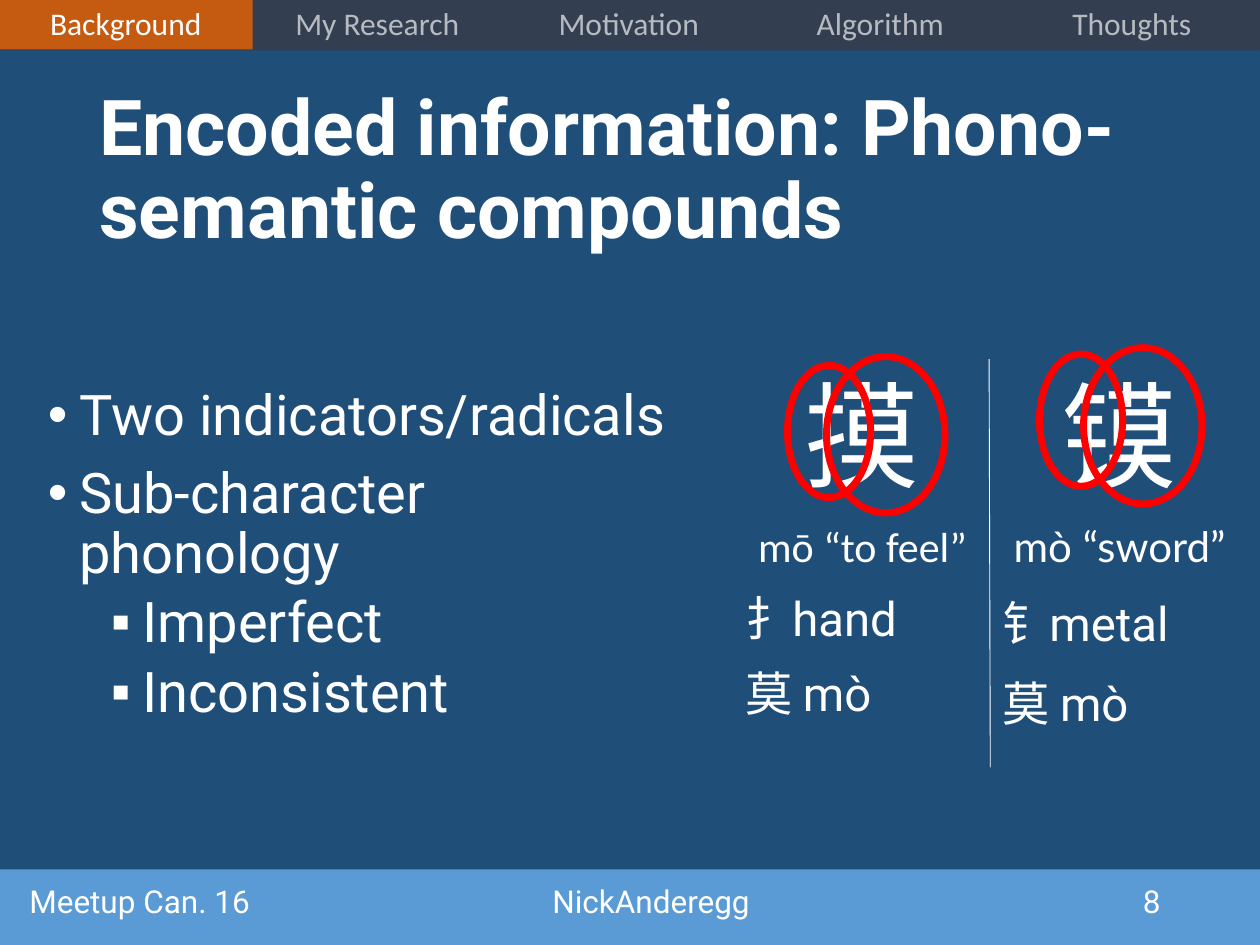
"""Build the slide on phono-semantic compounds."""
from lxml.etree import SubElement
from pptx import Presentation
from pptx.dml.color import RGBColor
from pptx.enum.shapes import MSO_CONNECTOR, MSO_SHAPE
from pptx.enum.text import MSO_ANCHOR, PP_ALIGN
from pptx.oxml.ns import qn
from pptx.util import Pt

WHITE, RED, NAVY, SLATE = "FFFFFF", "FF0000", "1F4E79", "333F50"
ORANGE, BLUE = "C55A11", "5B9BD5"
LATIN, HAN = "Roboto", "Noto Sans CJK SC"
NO_GRID = "{2D5ABB26-0587-4C30-8999-92F81FD0307C}"
LEFT, CENTER, RIGHT = PP_ALIGN.LEFT, PP_ALIGN.CENTER, PP_ALIGN.RIGHT

TITLE = "Encoded information: Phono-semantic compounds"
POINTS = [
    (0, "Two indicators/radicals"),
    (0, "Sub-character phonology"),
    (1, "Imperfect"),
    (1, "Inconsistent"),
]
BULLETS = [("•", 18, 10), ("▪", 54, 5)]
COMPOUNDS = [
    dict(character="摸", meaning="mō “to feel”", face="Calibri", left=413.3,
         parts=["扌hand", "莫 mò"], parts_at=(420.8, 334.1), spacing=None,
         rings=[(450, 208.8), (472.3, 203.8)]),
    dict(character="镆", meaning="mò “sword”", face="Lato", left=560.2,
         parts=["钅metal", "莫 mò"], parts_at=(567.7, 333.4), spacing=1.1,
         rings=[(594, 202.3), (619.2, 198.7)]),
]
RING_SIZES = [(47.5, 75.6), (67.7, 89.3)]
SECTIONS = ["Background", "My Research", "Motivation", "Algorithm", "Thoughts"]
FOOTERS = [
    ("8", 481.7, 188.6, RIGHT),
    ("NickAnderegg", 284.4, 151.2, RIGHT),
    ("Meetup Can. 16", 9.7, 229, LEFT),
]


def color(value):
    return RGBColor.from_string(value)


def add_text(paragraph, text, size, face=LATIN, bold=False):
    run = paragraph.add_run()
    run.text = text
    font = run.font
    font.size, font.name, font.bold = Pt(size), face, bold
    font.color.rgb = color(WHITE)
    SubElement(run._r.get_or_add_rPr(), qn("a:ea"), typeface=HAN)


def add_frame(slide, box, anchor=MSO_ANCHOR.TOP, inset=None):
    frame = slide.shapes.add_textbox(*map(Pt, box)).text_frame
    frame.word_wrap = True
    frame.vertical_anchor = anchor
    if inset:
        frame.margin_left = frame.margin_right = Pt(inset[0])
        frame.margin_top = frame.margin_bottom = Pt(inset[1])
    return frame


def add_paragraph(frame, align=LEFT, before=0, spacing=None):
    first = frame.paragraphs[0]
    paragraph = frame.add_paragraph() if first.runs else first
    paragraph.alignment = align
    paragraph.space_before = Pt(before)
    if spacing:
        paragraph.line_spacing = spacing
    return paragraph


def add_shape(slide, preset, box, fill=None, line=None, alpha=None):
    shape = slide.shapes.add_shape(preset, *map(Pt, box))
    shape.shadow.inherit = False
    if fill:
        shape.fill.solid()
        shape.fill.fore_color.rgb = color(fill)
    else:
        shape.fill.background()
    if alpha:
        tint = shape.fill._xPr.find(".//" + qn("a:srgbClr"))
        SubElement(tint, qn("a:alpha"), val=str(alpha * 1000))
    if line:
        shape.line.color.rgb = color(line)
        shape.line.width = Pt(4)
    else:
        shape.line.fill.background()


def add_points(slide):
    frame = add_frame(slide, (20.2, 217.4, 382.3, 301))
    for level, text in POINTS:
        mark, margin, before = BULLETS[level]
        paragraph = add_paragraph(frame, LEFT, before, 0.9)
        paragraph.level = level
        props = paragraph._p.get_or_add_pPr()
        props.set("marL", str(Pt(margin)))
        props.set("indent", str(Pt(-18)))
        SubElement(props, qn("a:buFont"), typeface="Arial")
        SubElement(props, qn("a:buChar"), char=mark)
        add_text(paragraph, text, 32)


def add_compound(slide, compound):
    frame = add_frame(slide, (compound["left"], 205.2, 159.1, 128.2), inset=(5, 2.9))
    add_text(add_paragraph(frame, CENTER, 10), compound["character"], 66, HAN)
    add_text(add_paragraph(frame, CENTER, 10), compound["meaning"], 24, compound["face"])
    frame = add_frame(slide, (*compound["parts_at"], 144.7, 108.7), inset=(5, 2.9))
    for part in compound["parts"]:
        add_text(add_paragraph(frame, LEFT, 10, compound["spacing"]), part, 27)


def add_divider(slide):
    ends = map(Pt, (565.2, 205.2, 565.9, 438.5))
    divider = slide.shapes.add_connector(MSO_CONNECTOR.STRAIGHT, *ends)
    divider.line.color.rgb = color(WHITE)
    divider.line.width = Pt(0.5)
    SubElement(divider._element.spPr, qn("a:effectLst"))


def add_navigation(slide):
    add_shape(slide, MSO_SHAPE.RECTANGLE, (0, 0, 720, 28.8), SLATE)
    add_shape(slide, MSO_SHAPE.RECTANGLE, (0, -0.5, 144.5, 28.8), ORANGE)
    holder = slide.shapes.add_table(1, len(SECTIONS), *map(Pt, (0, -0.3, 718.6, 29.2)))
    holder._element.find(".//" + qn("a:tableStyleId")).text = NO_GRID
    table = holder.table
    table.first_row = table.horz_banding = False
    for column, section in enumerate(SECTIONS):
        table.columns[column].width = Pt(718.6 / len(SECTIONS))
        cell = table.cell(0, column)
        cell.fill.background()
        add_text(add_paragraph(cell.text_frame, CENTER), section, 18, "Calibri")
    add_shape(slide, MSO_SHAPE.RECTANGLE, (144, -0.5, 575.3, 29.2), SLATE, alpha=35)


def main():
    deck = Presentation()
    deck.slide_width, deck.slide_height = Pt(720), Pt(540)
    slide = deck.slides.add_slide(deck.slide_layouts[6])
    slide.background.fill.solid()
    slide.background.fill.fore_color.rgb = color(NAVY)

    title = add_frame(slide, (49.7, 46.1, 620.6, 104.4), MSO_ANCHOR.MIDDLE)
    add_text(add_paragraph(title, spacing=0.9), TITLE, 44, bold=True)
    add_points(slide)
    for compound in COMPOUNDS:
        add_compound(slide, compound)
    add_divider(slide)
    for compound in COMPOUNDS:
        for corner, size in zip(compound["rings"], RING_SIZES):
            add_shape(slide, MSO_SHAPE.OVAL, (*corner, *size), line=RED)

    add_shape(slide, MSO_SHAPE.RECTANGLE, (0, 496.8, 720, 43.2), BLUE)
    add_navigation(slide)
    for text, left, width, align in FOOTERS:
        footer = add_frame(slide, (left, 500.4, width, 28.8), MSO_ANCHOR.MIDDLE)
        add_text(add_paragraph(footer, align), text, 18)
    deck.save("out.pptx")


if __name__ == "__main__":
    main()
